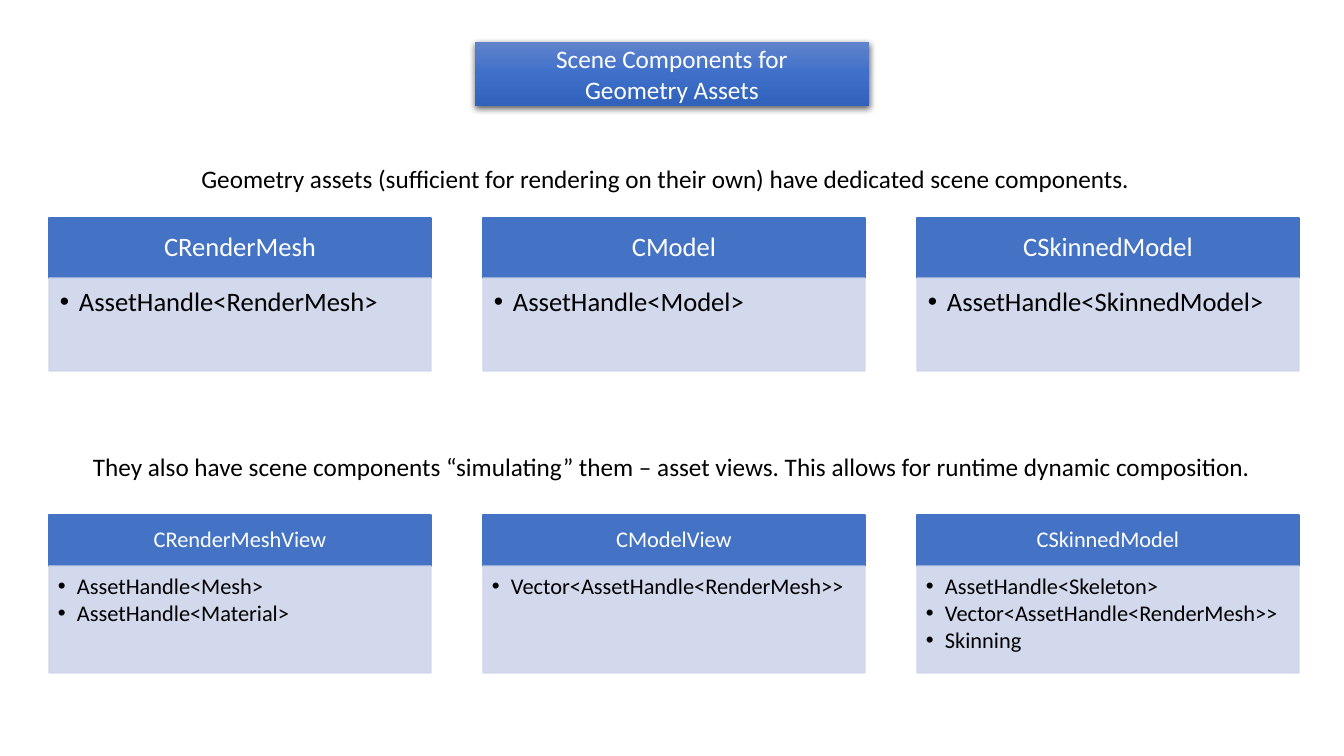
import pptx
import pptx.util
import pptx.oxml
import pptx.oxml.ns
import pptx.dml.color
import pptx.enum.text
import pptx.enum.shapes
from dataclasses import dataclass

Anchor = pptx.enum.text.MSO_ANCHOR
Align = pptx.enum.text.PP_ALIGN
Rect = pptx.enum.shapes.MSO_SHAPE.RECTANGLE


@dataclass(frozen=True)
class Theme:
    """Colours, font and type sizes of the slide."""
    font: str = "Calibri"
    head: str = "4472C4"
    body: str = "CFD5EA"
    light: str = "FFFFFF"
    dark: str = "000000"
    grad: tuple = ((0, "6183CB"), (50, "3E70CA"), (100, "3062BB"))
    text: int = 18
    large: int = 19
    small: int = 16


THEME = Theme()
LEFT, WIDTH, STEP = 49, 382, 434

ASSETS = [
    ("CRenderMesh", ["AssetHandle<RenderMesh>"]),
    ("CModel", ["AssetHandle<Model>"]),
    ("CSkinnedModel", ["AssetHandle<SkinnedModel>"]),
]
VIEWS = [
    ("CRenderMeshView", ["AssetHandle<Mesh>", "AssetHandle<Material>"]),
    ("CModelView", ["Vector<AssetHandle<RenderMesh>>"]),
    ("CSkinnedModel", ["AssetHandle<Skeleton>",
                       "Vector<AssetHandle<RenderMesh>>", "Skinning"]),
]


def px(num):
    """Turn pixels into EMU."""
    return round(num * 914400 / 100.8)


def rgb(code):
    """Turn a hex code into a colour."""
    return pptx.dml.color.RGBColor.from_string(code)


def apply(item, form):
    """Set each value of a format dict on an item."""
    for key, val in form.items():
        setattr(item, key, val)


def node(tag, inner="", attrs=""):
    """Make a DrawingML element."""
    space = pptx.oxml.ns.nsdecls("a")
    return pptx.oxml.parse_xml(f"<a:{tag} {space} {attrs}>{inner}</a:{tag}>")


def write(shape, lines, size, color, frame, para, bullet=False):
    """Fill a shape with formatted paragraphs."""
    text = shape.text_frame
    text.text = "\n".join(lines)
    apply(text, {"word_wrap": True,
                 "auto_size": pptx.enum.text.MSO_AUTO_SIZE.NONE, **frame})
    for part in text.paragraphs:
        if bullet:
            prop = part._p.get_or_add_pPr()
            prop.set("marL", str(px(19)))
            prop.set("indent", str(px(-19)))
            prop.append(node("buFont", attrs='typeface="Arial"'))
            prop.append(node("buChar", attrs='char="•"'))
        apply(part, para)
        for run in part.runs:
            apply(run.font, {"name": THEME.font, "size": pptx.util.Pt(size)})
            run.font.color.rgb = rgb(color)


def title(slide, lines):
    """Shape the title as a rounded, shaded banner."""
    shape = slide.shapes.title
    apply(shape, {"left": px(475), "top": px(42),
                  "width": px(394), "height": px(64)})
    stops = "".join(f'<a:gs pos="{pos * 1000}"><a:srgbClr val="{code}"/></a:gs>'
                    for pos, code in THEME.grad)
    shade = (f'<a:outerShdw blurRad="{pptx.util.Pt(4.5)}" '
             f'dist="{pptx.util.Pt(1.5)}" dir="5400000" rotWithShape="0">'
             f'<a:srgbClr val="{THEME.dark}"><a:alpha val="63000"/>'
             '</a:srgbClr></a:outerShdw>')
    for part in (
        node("prstGeom", "<a:avLst/>", 'prst="roundRect"'),
        node("gradFill", f'<a:gsLst>{stops}</a:gsLst><a:lin ang="5400000" scaled="0"/>'),
        node("effectLst", shade),
    ):
        shape.element.spPr.append(part)
    write(shape, lines, THEME.text, THEME.light,
          {"vertical_anchor": Anchor.MIDDLE}, {"alignment": Align.CENTER})


def note(slide, words, left, top, width):
    """Add a centred line of text."""
    shape = slide.shapes.add_textbox(px(left), px(top), px(width), px(40))
    write(shape, [words], THEME.text, THEME.dark, {}, {"alignment": Align.CENTER})


def panel(slide, left, top, high, color, alpha=100):
    """Add a flat rectangle one column wide."""
    shape = slide.shapes.add_shape(Rect, px(left), px(top), px(WIDTH), px(high))
    shape.shadow.inherit = False
    shape.fill.solid()
    shape.fill.fore_color.rgb = rgb(color)
    shape.line.color.rgb = rgb(color)
    shape.line.width = pptx.util.Pt(1)
    if alpha < 100:
        for tint in shape.element.spPr.iter(pptx.oxml.ns.qn("a:srgbClr")):
            tint.append(node("alpha", attrs=f'val="{alpha * 1000}"'))
    return shape


def cards(slide, data, top, split, end, size, inset):
    """Add a row of cards, each a header above a list."""
    for col, (name, items) in enumerate(data):
        left = LEFT + col * STEP
        head = panel(slide, left, top, split - top, THEME.head)
        write(head, [name], size, THEME.light,
              {"vertical_anchor": Anchor.MIDDLE},
              {"alignment": Align.CENTER, "line_spacing": 0.9})
        body = panel(slide, left, split, end - split, THEME.body, 90)
        write(body, items, size, THEME.dark,
              {"vertical_anchor": Anchor.TOP, "margin_left": px(inset),
               "margin_top": px(inset), "margin_right": px(inset)},
              {"alignment": Align.LEFT, "line_spacing": 0.9,
               "space_after": pptx.util.Pt(2)}, True)


def main():
    """Build and save the slide."""
    deck = pptx.Presentation()
    apply(deck, {"slide_width": px(1344), "slide_height": px(756)})
    slide = deck.slides.add_slide(deck.slide_layouts[5])
    title(slide, ["Scene Components for", "Geometry Assets"])
    cards(slide, ASSETS, 218, 278, 371, THEME.large, 11)
    cards(slide, VIEWS, 515, 566, 673, THEME.small, 9)
    note(slide, "Geometry assets (sufficient for rendering on their own) "
         "have dedicated scene components.", 101, 158, 1129)
    note(slide, "They also have scene components “simulating” them – asset views. "
         "This allows for runtime dynamic composition.", 32, 446, 1279)
    deck.save("out.pptx")


if __name__ == "__main__":
    main()
